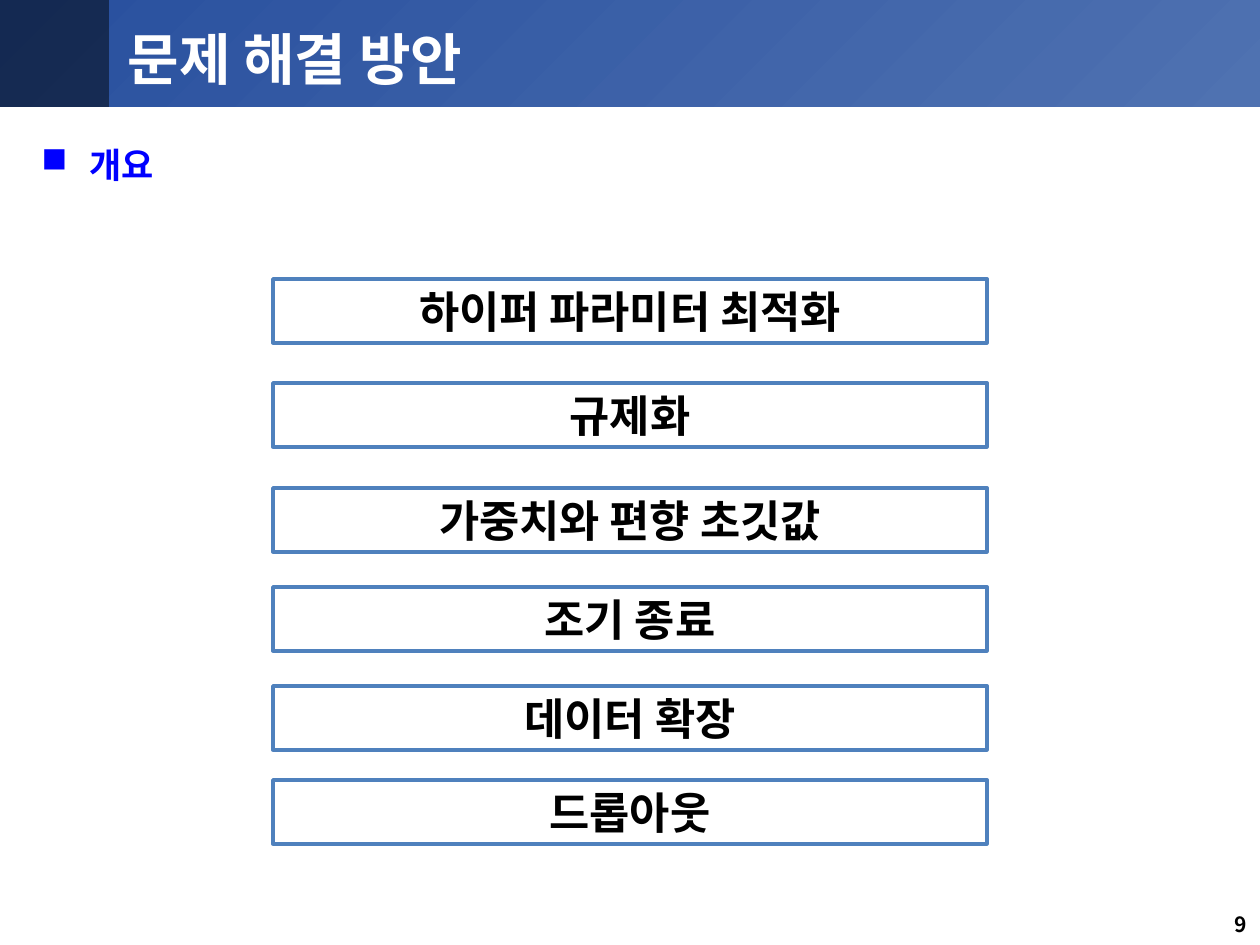
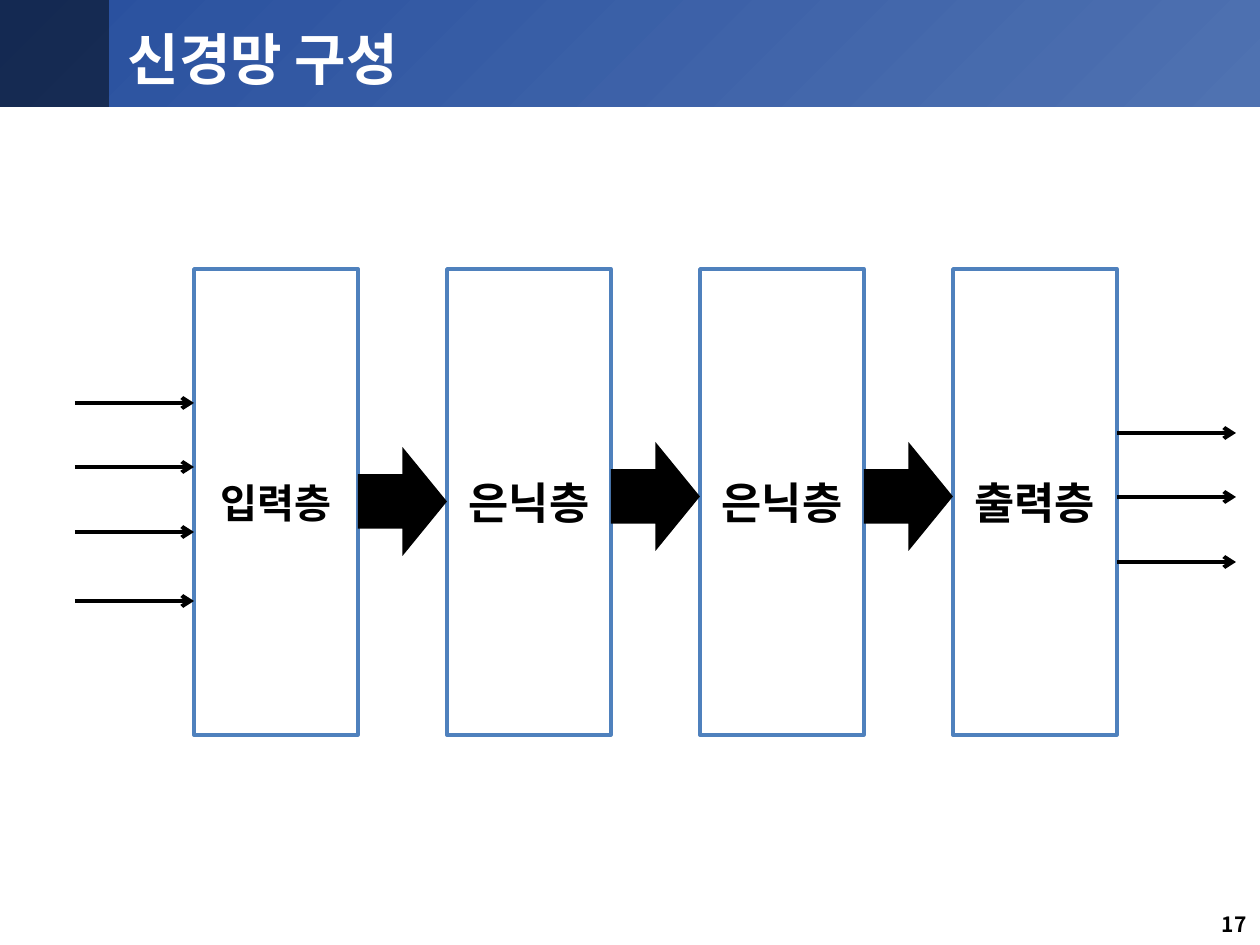
from dataclasses import dataclass

import pptx
import pptx.dml.color
import pptx.enum.dml
import pptx.enum.shapes
import pptx.enum.text
import pptx.oxml.ns
import pptx.util
from lxml import etree


@dataclass(frozen=True)
class Theme:
    font: str = "Noto Sans CJK KR"
    band_start: str = "284F9E"
    band_end: str = "4F72B1"
    outline: str = "4F81BD"
    heading: str = "0000FF"
    white: str = "FFFFFF"
    black: str = "000000"
    title_size: float = 32
    heading_size: float = 20
    box_size: float = 25
    input_size: float = 23
    page_size: float = 12


theme = Theme()
EMU_PER_PX = 914400 / 126
MSO_SHAPE = pptx.enum.shapes.MSO_SHAPE
PP_ALIGN = pptx.enum.text.PP_ALIGN
rgb = pptx.dml.color.RGBColor.from_string
qn = pptx.oxml.ns.qn


def px(*lengths):
    return [round(n * EMU_PER_PX) for n in lengths]


def write(sp, text, size, color, align=PP_ALIGN.LEFT, anchor="TOP"):
    tf = sp.text_frame
    tf.text = text
    tf.word_wrap = True
    tf.auto_size = pptx.enum.text.MSO_AUTO_SIZE.NONE
    tf.vertical_anchor = pptx.enum.text.MSO_ANCHOR[anchor]
    p = tf.paragraphs[0]
    p.alignment = align
    p.space_before = pptx.util.Pt(0)
    r = p.runs[0]
    r.font.size = pptx.util.Pt(size)
    r.font.bold = True
    r.font.name = theme.font
    r.font.color.rgb = rgb(color)
    latin = r.font._element.find(qn("a:latin"))
    latin.addnext(etree.Element(qn("a:ea"), typeface=theme.font))
    return p


prs = pptx.Presentation()
prs.slide_width, prs.slide_height = px(1260, 945)
layout = prs.slide_layouts[5]

# Slides with their titles and page numbers
slides = []
for title, page in [("문제 해결 방안", "9"), ("신경망 구성", "17")]:
    slide = prs.slides.add_slide(layout)
    sp = slide.shapes.title
    sp.left, sp.top, sp.width, sp.height = px(115, 18, 1113, 70)
    write(sp, title, theme.title_size, theme.white)
    sp = slide.shapes.add_textbox(*px(965, 908, 294, 37))
    p = write(sp, page, theme.page_size, theme.black, PP_ALIGN.RIGHT)
    p.line_spacing = 0.9
    slides.append(slide)
overview, network = slides

# Header band, moved into the layout that both slides share
band = overview.shapes.add_shape(MSO_SHAPE.RECTANGLE, *px(0, 0, 1260, 107))
band.fill.gradient()
band.fill.gradient_angle = 315
for stop, color in zip(band.fill.gradient_stops, (theme.band_start, theme.band_end)):
    stop.color.rgb = rgb(color)
corner = overview.shapes.add_shape(MSO_SHAPE.RECTANGLE, *px(0, 0, 109, 107))
corner.fill.solid()
corner.fill.fore_color.rgb = rgb(theme.black)
color_el = corner._element.spPr.find(".//" + qn("a:srgbClr"))
etree.SubElement(color_el, qn("a:alpha"), val="48000")
for i, sp in enumerate((band, corner)):
    sp.shadow.inherit = False
    sp.line.fill.background()
    layout.shapes.element.insert(2 + i, sp._element)

# Overview heading with a square bullet
sp = overview.shapes.add_textbox(*px(29, 137, 1186, 70))
p = write(sp, "개요", theme.heading_size, theme.heading)
pPr = p._p.get_or_add_pPr()
indent = px(48)[0]
pPr.set("marL", str(indent))
pPr.set("indent", str(-indent))
etree.SubElement(pPr, qn("a:buChar"), char="■")

# Outlined boxes: the remedies, then the network layers
boxes = [
    (overview, text, theme.box_size, (273, top, 714, 64))
    for text, top in [
        ("하이퍼 파라미터 최적화", 279), ("규제화", 383), ("가중치와 편향 초깃값", 488),
        ("조기 종료", 587), ("데이터 확장", 686), ("드롭아웃", 780),
    ]
]
layer_left, layer_step, layer_width = 194, 253, 164
layers = ["입력층", "은닉층", "은닉층", "출력층"]
for i, text in enumerate(layers):
    size = theme.box_size if i else theme.input_size
    boxes.append((network, text, size, (layer_left + i * layer_step, 269, layer_width, 466)))

for slide, text, size, place in boxes:
    sp = slide.shapes.add_shape(MSO_SHAPE.RECTANGLE, *px(*place))
    sp.shadow.inherit = False
    sp.fill.solid()
    sp.fill.fore_color.rgb = rgb(theme.white)
    sp.line.color.rgb = rgb(theme.outline)
    sp.line.width = pptx.util.Pt(2)
    write(sp, text, size, theme.black, PP_ALIGN.CENTER, "MIDDLE")

# Block arrows between neighbouring layers
for i, top in enumerate([447, 442, 442]):
    left = layer_left + i * layer_step + layer_width
    sp = network.shapes.add_shape(
        MSO_SHAPE.RIGHT_ARROW, *px(left, top, layer_step - layer_width, 109))
    sp.shadow.inherit = False
    sp.fill.solid()
    sp.fill.fore_color.rgb = rgb(theme.black)
    sp.line.fill.background()

# Input and output arrows
arrow_length = 119
output_left = layer_left + (len(layers) - 1) * layer_step + layer_width
for left, heights in [(layer_left - arrow_length, (403, 467, 532, 601)),
                      (output_left, (433, 497, 562))]:
    for y in heights:
        line = network.shapes.add_connector(
            pptx.enum.shapes.MSO_CONNECTOR.STRAIGHT, *px(left, y, left + arrow_length, y))
        line.line.color.rgb = rgb(theme.black)
        line.line.width = pptx.util.Pt(2.25)
        etree.SubElement(line.line._get_or_add_ln(), qn("a:tailEnd"), type="arrow")
        etree.SubElement(line._element.spPr, qn("a:effectLst"))

prs.save("out.pptx")
